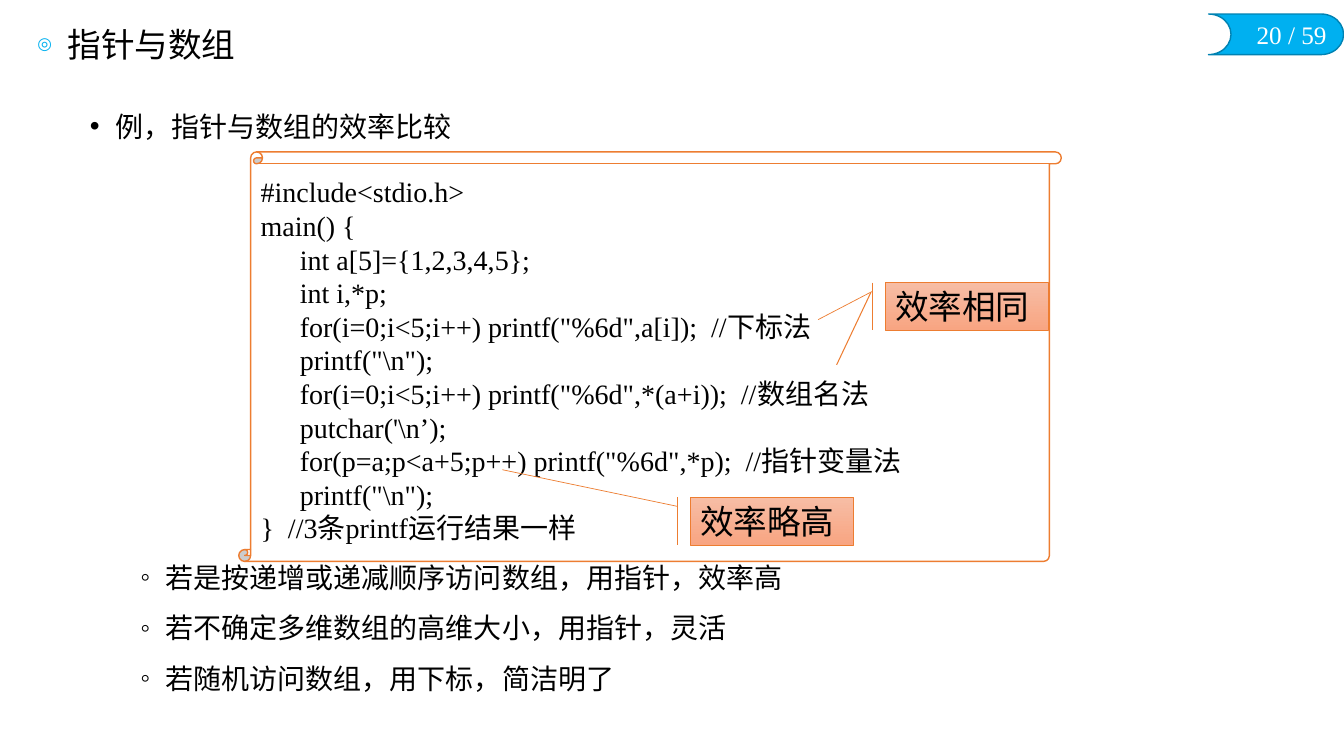
from dataclasses import dataclass

import lxml.etree as etree
import pptx
import pptx.dml.color
import pptx.enum.shapes
import pptx.enum.text
import pptx.oxml.ns
import pptx.util

Pt = pptx.util.Pt
RGB = pptx.dml.color.RGBColor.from_string
SHAPE = pptx.enum.shapes.MSO_SHAPE
ALIGN = pptx.enum.text.PP_ALIGN
ANCHOR = pptx.enum.text.MSO_ANCHOR
qn = pptx.oxml.ns.qn


@dataclass(frozen=True)
class Theme:
    latin: str = "Times New Roman"
    chinese: str = "Noto Sans CJK SC"
    ink: str = "000000"
    paper: str = "FFFFFF"
    blue: str = "00B0F0"
    blue_edge: str = "0082B2"
    orange: str = "ED7D31"
    peach: tuple = ("F7BDA5", "F8A582")
    heading: int = 24
    detail: int = 20
    page: int = 18
    leading: float = 1.2


THEME = Theme()

TITLE = "指针与数组"
TOPIC = "例，指针与数组的效率比较"
ADVICE = [
    "若是按递增或递减顺序访问数组，用指针，效率高",
    "若不确定多维数组的高维大小，用指针，灵活",
    "若随机访问数组，用下标，简洁明了",
]
CODE = [
    "#include<stdio.h>",
    "main() {",
    "\tint a[5]={1,2,3,4,5};",
    "\tint i,*p;",
    "\tfor(i=0;i<5;i++) printf(\"%6d\",a[i]);  //下标法",
    "\tprintf(\"\\n\");",
    "\tfor(i=0;i<5;i++) printf(\"%6d\",*(a+i));  //数组名法",
    "\tputchar('\\n’);",
    "\tfor(p=a;p<a+5;p++) printf(\"%6d\",*p);  //指针变量法",
    "\tprintf(\"\\n\");",
    "}  //3条printf运行结果一样",
]


def place(shape, left, top, width, height):
    shape.left, shape.top = Pt(left), Pt(top)
    shape.width, shape.height = Pt(width), Pt(height)


def style_runs(paragraph, size, color=THEME.ink, latin=THEME.latin):
    for run in paragraph.runs:
        run.font.size = Pt(size)
        run.font.name = latin
        run.font.color.rgb = RGB(color)
        etree.SubElement(run.font._element, qn("a:ea"), typeface=THEME.chinese)


def set_bullet(paragraph, char, margin, hanging, color=None, percent=None):
    props = paragraph._p.get_or_add_pPr()
    props.set("marL", str(Pt(margin)))
    props.set("indent", str(-Pt(hanging)))
    if color:
        holder = etree.SubElement(props, qn("a:buClr"))
        etree.SubElement(holder, qn("a:srgbClr"), val=color)
    if percent:
        etree.SubElement(props, qn("a:buSzPct"), val=str(percent * 1000))
    etree.SubElement(props, qn("a:buFont"), typeface="Arial")
    etree.SubElement(props, qn("a:buChar"), char=char)


def set_tab(paragraph, position):
    tabs = etree.SubElement(paragraph._p.get_or_add_pPr(), qn("a:tabLst"))
    etree.SubElement(tabs, qn("a:tab"), pos=str(Pt(position)), algn="l")


def add_outlined(slide, kind, box, fill, edge, weight):
    shape = slide.shapes.add_shape(kind, *map(Pt, box))
    shape.shadow.inherit = False
    if isinstance(fill, str):
        shape.fill.solid()
        shape.fill.fore_color.rgb = RGB(fill)
    else:
        shape.fill.gradient()
        shape.fill.gradient_angle = 270
        for stop, color in zip(shape.fill.gradient_stops, fill):
            stop.color.rgb = RGB(color)
    shape.line.color.rgb = RGB(edge)
    shape.line.width = Pt(weight)
    return shape


def set_adjustments(shape, values):
    for index, value in enumerate(values):
        shape.adjustments[index] = value


def add_page_badge(slide, label):
    badge = add_outlined(slide, SHAPE.FLOWCHART_STORED_DATA, (863.3, 10, 96.5, 29),
                         THEME.blue, THEME.blue_edge, 1)
    badge._element.spPr.xfrm.set("flipH", "1")
    page = slide.shapes.add_textbox(*map(Pt, (886.3, 10, 68.4, 29)))
    page.text_frame.word_wrap = False
    page.text_frame.text = label
    line = page.text_frame.paragraphs[0]
    line.alignment = ALIGN.RIGHT
    style_runs(line, THEME.page, THEME.paper)


def fill_title(title):
    place(title, 19.5, 16.5, 458.5, 33)
    title.text_frame.text = TITLE
    title.text_frame.auto_size = pptx.enum.text.MSO_AUTO_SIZE.NONE
    title.text_frame.vertical_anchor = ANCHOR.MIDDLE
    heading = title.text_frame.paragraphs[0]
    set_bullet(heading, "◎", 21.5, 21.5, THEME.blue, 50)
    heading.alignment = ALIGN.LEFT
    heading.line_spacing = 0.9
    style_runs(heading, THEME.heading)


def fill_body(body):
    """Write the topic above the code scroll and the advice below it."""
    place(body, 57, 74.5, 843, 437)
    frame = body.text_frame
    frame.text = "\n".join([TOPIC, *ADVICE])
    frame.auto_size = pptx.enum.text.MSO_AUTO_SIZE.NONE
    frame.vertical_anchor = ANCHOR.TOP
    topic, *advice = frame.paragraphs
    set_bullet(topic, "•", 18, 18)
    for item in advice:
        item.level = 1
        set_bullet(item, "◦", 54, 18)
    for item in frame.paragraphs:
        size = THEME.heading if item is topic else THEME.detail
        item.line_spacing = Pt(size * THEME.leading)
        item.space_before = Pt(6)
        item.space_after = Pt(6)
        style_runs(item, size)
    topic.space_before = Pt(0)
    advice[0].space_before = Pt(292)


def add_code_scroll(slide):
    scroll = add_outlined(slide, SHAPE.VERTICAL_SCROLL, (170.6, 108.5, 587.5, 292.5),
                          THEME.paper, THEME.orange, 1)
    set_adjustments(scroll, [0.029])
    scroll.text_frame.text = "\n".join(CODE)
    scroll.text_frame.vertical_anchor = ANCHOR.MIDDLE
    for line in scroll.text_frame.paragraphs:
        set_tab(line, 28)
        line.alignment = ALIGN.LEFT
        line.line_spacing = Pt(THEME.detail * THEME.leading)
        style_runs(line, THEME.detail)


def add_callout(slide, label, left, top, pointer):
    """Add a remark whose pointer ends at a (y, x) share of its box."""
    callout = add_outlined(slide, SHAPE.LINE_CALLOUT_1_BORDER_AND_ACCENT_BAR,
                           (left, top, 116.7, 34), THEME.peach, THEME.orange, 0.5)
    set_adjustments(callout, [0.19, -0.08, *pointer])
    callout.text_frame.text = label
    callout.text_frame.vertical_anchor = ANCHOR.MIDDLE
    remark = callout.text_frame.paragraphs[0]
    remark.alignment = ALIGN.LEFT
    style_runs(remark, THEME.heading, latin=THEME.chinese)
    return callout


def add_line(slide, start, end):
    line = slide.shapes.add_connector(pptx.enum.shapes.MSO_CONNECTOR.STRAIGHT,
                                      *map(Pt, (*start, *end)))
    line.line.color.rgb = RGB(THEME.orange)
    line.line.width = Pt(0.75)
    etree.SubElement(line._element.spPr, qn("a:effectLst"))
    return line


def main():
    deck = pptx.Presentation()
    deck.slide_width, deck.slide_height = Pt(960), Pt(540)
    slide = deck.slides.add_slide(deck.slide_layouts[1])
    title, body = slide.placeholders
    add_page_badge(slide, "20 / 59")
    fill_title(title)
    fill_body(body)
    add_code_scroll(slide)
    same = add_callout(slide, "效率相同", 632.2, 201.8, (0.78, -0.41))
    second_pointer = add_line(slide, (622.1, 208.8), (597.6, 260.6))
    slide.shapes.add_group_shape([same, second_pointer])
    add_callout(slide, "效率略高", 493, 355.2, (-0.58, -1.15))
    deck.save("out.pptx")


if __name__ == "__main__":
    main()
